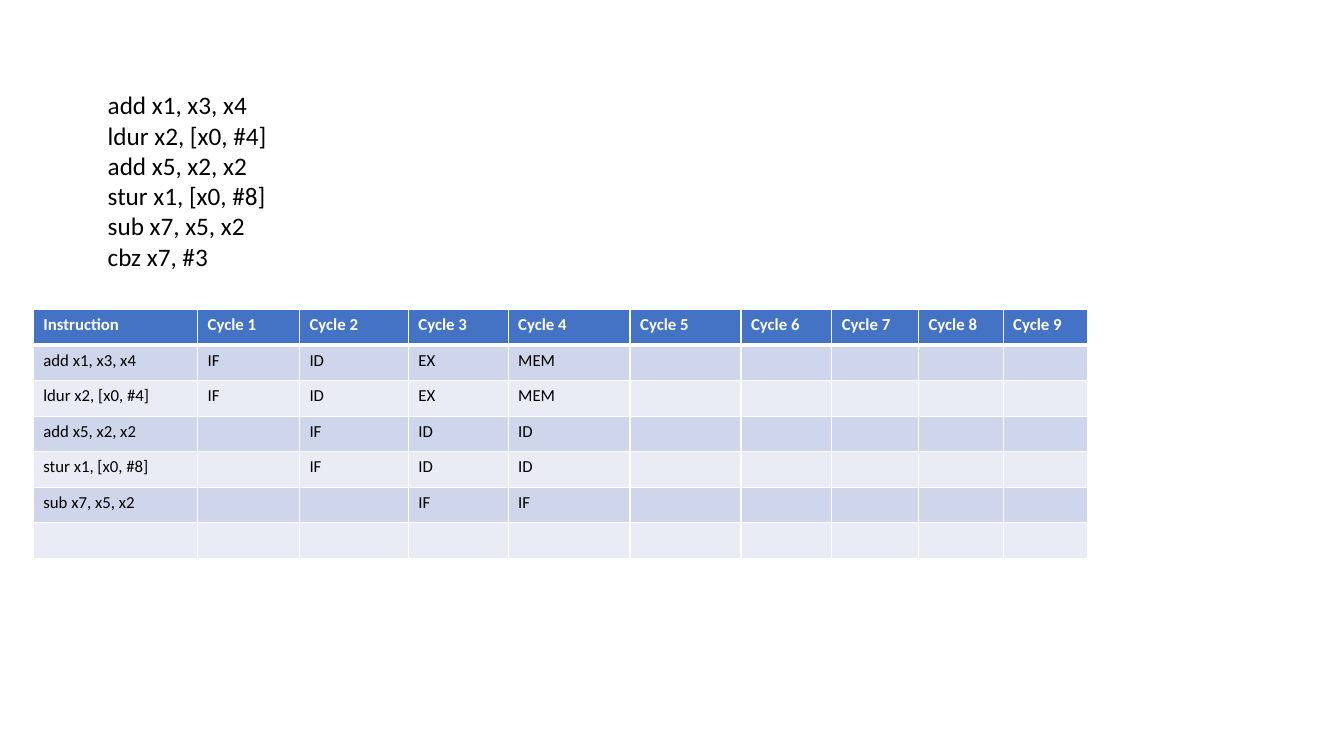
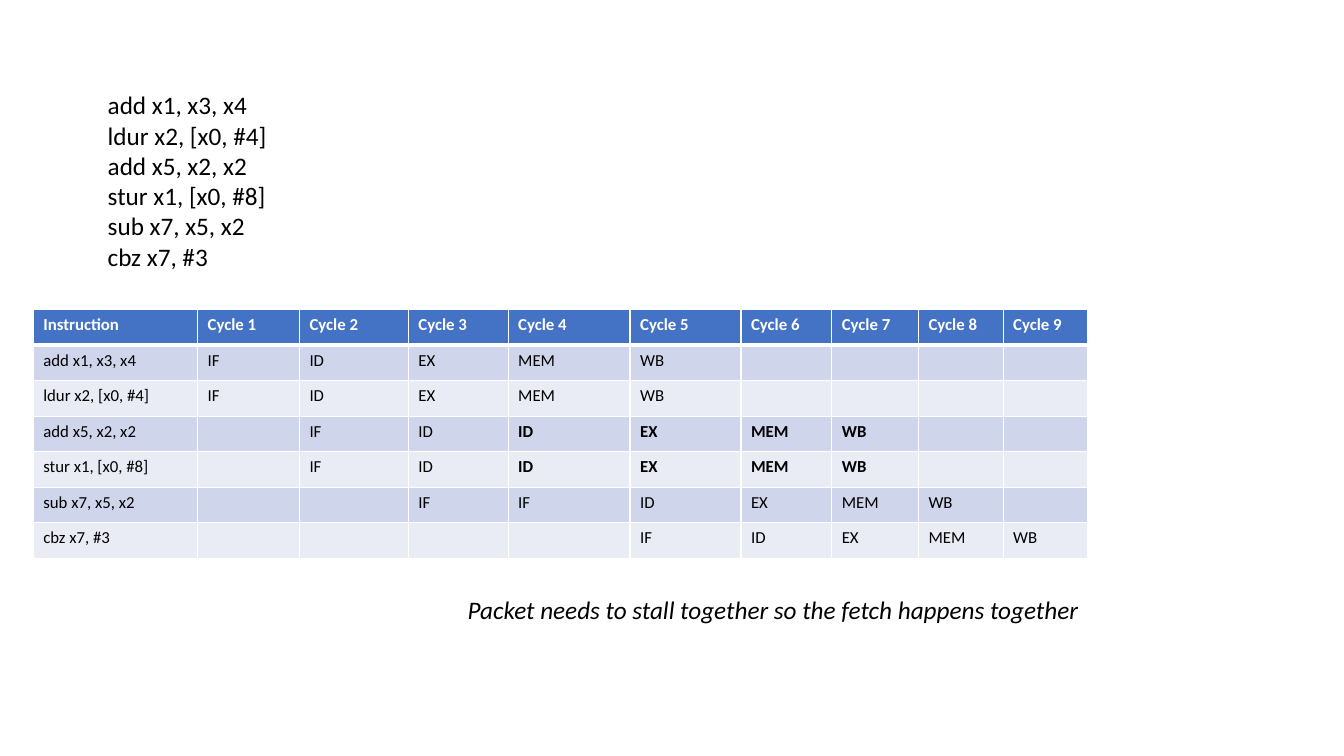
from lxml.etree import SubElement
from pptx import Presentation
from pptx.dml.color import RGBColor
from pptx.enum.text import MSO_AUTO_SIZE
from pptx.oxml.ns import qn
from pptx.util import Inches, Pt

COLORS = {
    "text": "000000",
    "white": "FFFFFF",
    "header": "4472C4",
    "odd_row": "CFD5EA",
    "even_row": "E9EBF5",
}

# Instruction, first cycle, stage in each cycle from there on
PIPELINE = [
    ("add x1, x3, x4", 1, "IF ID EX MEM WB"),
    ("ldur x2, [x0, #4]", 1, "IF ID EX MEM WB"),
    ("add x5, x2, x2", 2, "IF ID ID EX MEM WB"),
    ("stur x1, [x0, #8]", 2, "IF ID ID EX MEM WB"),
    ("sub x7, x5, x2", 3, "IF IF ID EX MEM WB"),
    ("cbz x7, #3", 5, "IF ID EX MEM WB"),
]
CYCLES = 9
STALLED = {(row, cycle) for row in (3, 4) for cycle in range(4, 8)}
COLUMN_WIDTHS = [1.63, 1.01, 1.08, 0.99, 1.21, 1.1, 0.9, 0.86, 0.84, 0.84]


def write(paragraph, text, size=18, color="text", bold=False, italic=False):
    if not text:
        # An empty cell still needs a font size to keep its row low
        SubElement(paragraph._p, qn("a:endParaRPr"), sz=str(size * 100))
        return
    run = paragraph.add_run()
    run.text = text
    font = run.font
    font.name = "Calibri"
    font.size = Pt(size)
    font.bold = bold
    font.italic = italic
    font.color.rgb = RGBColor.from_string(COLORS[color])


def pipeline_rows(last_cycle):
    """Header and stages as far as the pipeline has come by last_cycle."""
    rows = [["Instruction"] + [f"Cycle {n}" for n in range(1, CYCLES + 1)]]
    for instruction, first, stages in PIPELINE:
        row = [""] * (CYCLES + 1)
        if first <= last_cycle:
            row[0] = instruction
        for cycle, stage in enumerate(stages.split(), first):
            if cycle <= last_cycle:
                row[cycle] = stage
        rows.append(row)
    return rows


class Deck:
    def __init__(self):
        self.presentation = Presentation()
        self.presentation.slide_width = Inches(13.33)
        self.presentation.slide_height = Inches(7.5)
        self.slide = None

    def new_slide(self):
        self.slide = self.presentation.slides.add_slide(self.presentation.slide_layouts[6])

    def text(self, lines, left, top, width, height, **style):
        box = self.slide.shapes.add_textbox(
            Inches(left), Inches(top), Inches(width), Inches(height))
        frame = box.text_frame
        frame.word_wrap = False
        frame.auto_size = MSO_AUTO_SIZE.SHAPE_TO_FIT_TEXT
        for index, line in enumerate(lines):
            paragraph = frame.add_paragraph() if index else frame.paragraphs[0]
            write(paragraph, line, **style)

    def borders(self, cell, row):
        widths = {"lnL": 1, "lnR": 1, "lnT": 3 if row == 1 else 1, "lnB": 1 if row else 3}
        properties = cell._tc.get_or_add_tcPr()
        for side, width in widths.items():
            line = SubElement(properties, qn(f"a:{side}"), w=str(Pt(width)))
            fill = SubElement(line, qn("a:solidFill"))
            SubElement(fill, qn("a:srgbClr"), val=COLORS["white"])

    def table(self, rows, left, top, height, widths, bold_cells):
        table = self.slide.shapes.add_table(
            len(rows), len(widths), Inches(left), Inches(top),
            Inches(sum(widths)), Inches(height)).table
        for column, width in zip(table.columns, widths):
            column.width = Inches(width)
        for r, row in enumerate(rows):
            fill = "header" if r == 0 else "odd_row" if r % 2 else "even_row"
            for c, value in enumerate(row):
                cell = table.cell(r, c)
                self.borders(cell, r)
                cell.fill.solid()
                cell.fill.fore_color.rgb = RGBColor.from_string(COLORS[fill])
                write(cell.text_frame.paragraphs[0], value, size=12,
                      color="text" if r else "white",
                      bold=r == 0 or (r, c) in bold_cells)

    def pipeline_slide(self, last_cycle, bold_cells=frozenset()):
        self.new_slide()
        self.text([instruction for instruction, _, _ in PIPELINE], 0.97, 0.84, 1.8, 1.92)
        self.table(pipeline_rows(last_cycle), 0.33, 3.07, 2.47, COLUMN_WIDTHS, bold_cells)


def main():
    deck = Deck()

    # Pipeline up to the stall
    deck.pipeline_slide(last_cycle=4)

    # Complete pipeline with the stalled packet in bold
    deck.pipeline_slide(last_cycle=CYCLES, bold_cells=STALLED)
    deck.text(["Packet needs to stall together so the fetch happens together"],
              4.54, 5.85, 6.38, 0.4, italic=True)

    deck.presentation.save("out.pptx")


if __name__ == "__main__":
    main()
